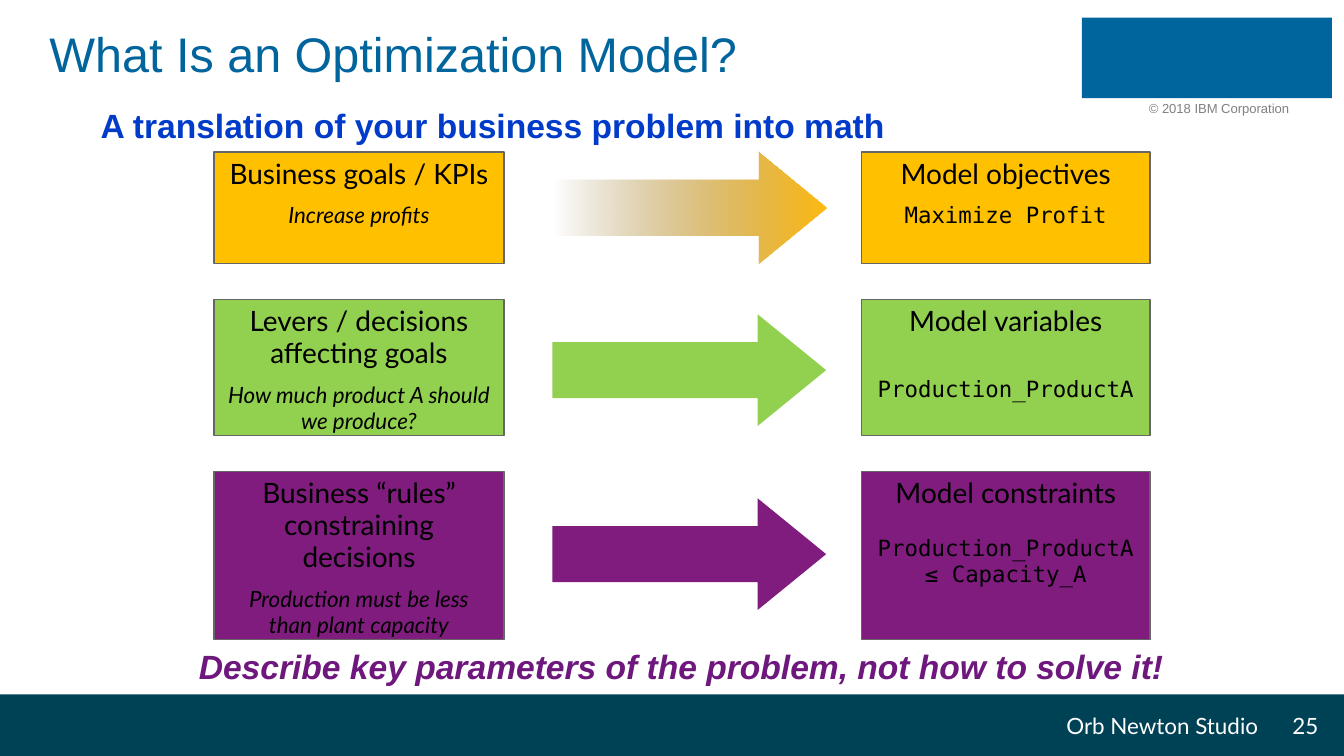
from lxml import etree
from pptx import Presentation
from pptx.dml.color import RGBColor
from pptx.enum import shapes, text
from pptx.oxml.ns import qn
from pptx.util import Pt

COLORS = {
    "bar": "004255", "blue": "00649D", "gray": "808080", "subtitle": "003BC9",
    "goals": "FFC000", "levers": "92D050", "rules": "7F1C7D",
    "fade": "765608", "amber": "FEB911", "border": "666666",
    "takeaway": "6E177D", "black": "000000", "white": "FFFFFF",
}
RECT = shapes.MSO_SHAPE.RECTANGLE
ARROW = shapes.MSO_SHAPE.RIGHT_ARROW


def add_block(s, kind, box, color):
    sp = s.shapes.add_shape(kind, *map(Pt, box))
    sp.shadow.inherit = False
    sp.fill.solid()
    sp.fill.fore_color.rgb = RGBColor.from_string(COLORS[color])
    sp.line.fill.background()
    return sp


def style(p, size, font, color, bold=False, italic=False):
    for r in p.runs:
        r.font.size = Pt(size)
        r.font.name = font
        r.font.bold = bold
        r.font.italic = italic
        r.font.color.rgb = RGBColor.from_string(COLORS[color])


prs = Presentation()
prs.slide_width, prs.slide_height = Pt(720), Pt(405)
s = prs.slides.add_slide(prs.slide_layouts[6])

add_block(s, RECT, (0, 372, 720, 33), "bar")
add_block(s, RECT, (579.6, 9.4, 133.9, 43.2), "blue")

labels = [
    ("Orb Newton Studio", (540, 372, 141.2, 33), 12, "Lato", "white", False, False),
    ("25", (680, 372, 33.3, 33), 12, "Lato", "white", False, False),
    ("© 2018 IBM Corporation", (608.4, 50.4, 90.7, 15.8), 7, "Arial", "gray", False, False),
    ("What Is an Optimization Model?", (19.4, 4.3, 555, 53.3), 26, "Arial", "blue", False, False),
    ("A translation of your business problem into math", (46.8, 52.6, 439.2, 28.8),
     18, "Arial", "subtitle", True, False),
    ("Describe key parameters of the problem, not how to solve it!", (99.4, 342.7, 536.4, 28.8),
     18, "Arial", "takeaway", True, True),
]
for label, box, size, font, color, bold, italic in labels:
    tf = s.shapes.add_textbox(*map(Pt, box)).text_frame
    tf.text = label
    tf.word_wrap = size == 26
    p = tf.paragraphs[0]
    style(p, size, font, color, bold, italic)
    if size in (12, 26):
        tf.vertical_anchor = text.MSO_ANCHOR.MIDDLE
    if size == 12:
        p.alignment = text.PP_ALIGN.RIGHT
    if size == 26:
        p.line_spacing = 0.85

rows = [
    ("goals", 81.4, 59.8, 81.4, "Business goals / KPIs", "Increase profits",
     "Model objectives", "Maximize Profit", 7),
    ("levers", 160.6, 72.7, 168.4, "Levers / decisions affecting goals",
     "How much product A should we produce?",
     "Model variables", "Production_ProductA", 21),
    ("rules", 252.7, 90, 267, "Business “rules” constraining decisions",
     "Production must be less than plant capacity",
     "Model constraints", "Production_ProductA ≤ Capacity_A", 14),
]
for color, top, height, arrow_top, concept, example, model, formula, gap in rows:
    sp = add_block(s, ARROW, (296, arrow_top, 146.6, 59.8), color)
    sp.adjustments[1] = 0.613
    if color == "goals":
        sp.fill.gradient()
        sp.fill.gradient_angle = 0
        for stop, position, name in zip(sp.fill.gradient_stops, (0, 1), ("fade", "amber")):
            stop.position = position
            stop.color.rgb = RGBColor.from_string(COLORS[name])
        first_color = next(sp.element.iter(qn("a:srgbClr")))
        etree.SubElement(first_color, qn("a:alpha"), val="0")

    sides = [
        (114.6, 155.5, concept, example, "Lato", True, 7),
        (461.4, 154.8, model, formula, "DejaVu Sans Mono", False, gap),
    ]
    for left, width, heading, detail, font, italic, space in sides:
        sp = add_block(s, RECT, (left, top, width, height), color)
        sp.line.color.rgb = RGBColor.from_string(COLORS["border"])
        sp.line.width = Pt(0.75)
        tf = sp.text_frame
        tf.word_wrap = True
        tf.vertical_anchor = text.MSO_ANCHOR.TOP
        tf.text = f"{heading}\n{detail}"
        for p in tf.paragraphs:
            p.alignment = text.PP_ALIGN.CENTER
            p.line_spacing = 0.95
        style(tf.paragraphs[0], 15, "Lato", "black")
        style(tf.paragraphs[1], 12, font, "black", italic=italic)
        tf.paragraphs[1].space_before = Pt(space)

prs.save("out.pptx")
